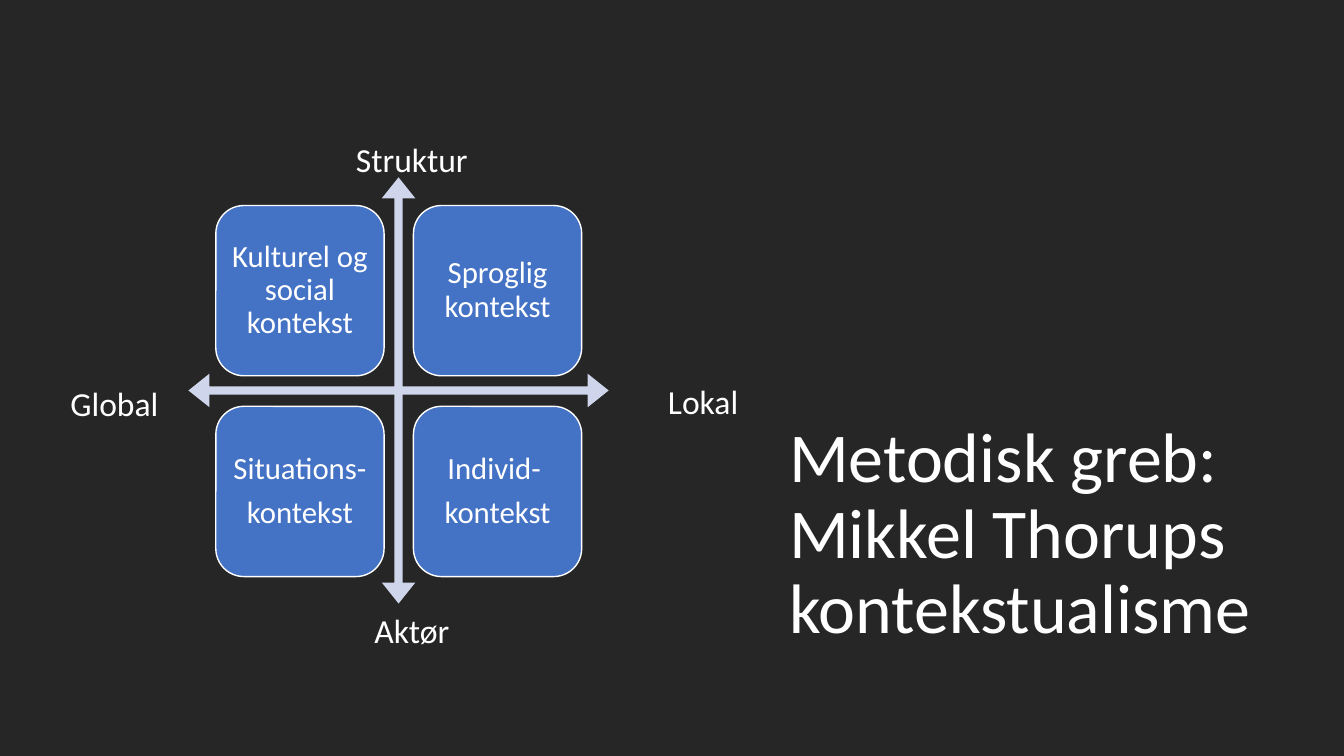
import pptx
import pptx.util
import pptx.dml.color
import pptx.enum.shapes
import pptx.enum.text

Cm = pptx.util.Cm
Pt = pptx.util.Pt
ANCHOR = pptx.enum.text.MSO_ANCHOR
ALIGN = pptx.enum.text.PP_ALIGN
SHAPE = pptx.enum.shapes.MSO_SHAPE
WHITE = "FFFFFF"


def color(hex_string):
    return pptx.dml.color.RGBColor.from_string(hex_string)


def add_run(paragraph, text, size):
    run = paragraph.add_run()
    run.text = text
    run.font.size = Pt(size)
    run.font.name = "Calibri"
    run.font.color.rgb = color(WHITE)


presentation = pptx.Presentation()
presentation.slide_width = Cm(33.87)
presentation.slide_height = Cm(19.05)
slide = presentation.slides.add_slide(presentation.slide_layouts[5])
slide.background.fill.solid()
slide.background.fill.fore_color.rgb = color("262626")

title = slide.shapes.title
title.left, title.top, title.width, title.height = Cm(19.63), Cm(1.75), Cm(13.23), Cm(14.73)
title.text_frame.auto_size = pptx.enum.text.MSO_AUTO_SIZE.NONE
title.text_frame.vertical_anchor = ANCHOR.BOTTOM
paragraph = title.text_frame.paragraphs[0]
paragraph.alignment = ALIGN.LEFT
paragraph.line_spacing = 0.9
add_run(paragraph, "Metodisk greb:", 50)
paragraph.add_line_break()
add_run(paragraph, "Mikkel Thorups kontekstualisme", 50)

axes = slide.shapes.add_shape(SHAPE.QUAD_ARROW, Cm(4.75), Cm(4.47), Cm(10.59), Cm(10.74))
axes.shadow.inherit = False
axes.fill.solid()
axes.fill.fore_color.rgb = color("CFD5EA")
axes.line.fill.background()
for index, adjustment in enumerate([0.02, 0.04, 0.05]):
    axes.adjustments[index] = adjustment

contexts = [
    ["Kulturel og social kontekst"],
    ["Sproglig kontekst"],
    ["Situations-", "kontekst"],
    ["Individ- ", "kontekst"],
]
for index, lines in enumerate(contexts):
    row, column = divmod(index, 2)
    box = slide.shapes.add_shape(
        SHAPE.ROUNDED_RECTANGLE,
        Cm(5.44 + 4.98 * column), Cm(5.18 + 5.06 * row), Cm(4.24), Cm(4.29))
    box.shadow.inherit = False
    box.fill.solid()
    box.fill.fore_color.rgb = color("4472C4")
    box.line.color.rgb = color(WHITE)
    box.line.width = Pt(1)
    frame = box.text_frame
    frame.word_wrap = True
    frame.vertical_anchor = ANCHOR.MIDDLE
    frame.margin_left = frame.margin_right = Cm(0.2)
    frame.margin_top = frame.margin_bottom = Cm(0.2)
    for number, line in enumerate(lines):
        paragraph = frame.add_paragraph() if number else frame.paragraphs[0]
        paragraph.alignment = ALIGN.CENTER
        paragraph.line_spacing = 0.9
        paragraph.space_before = Pt(8 if number else 0)
        add_run(paragraph, line, 22)

axis_labels = [
    ("Global", 1.35, 9.52, 3.07),
    ("Lokal", 15.8, 9.47, 3.84),
    ("Struktur", 8.46, 3.38, 3.84),
    ("Aktør", 8.08, 15.24, 4.6),
]
for text, left, top, width in axis_labels:
    label = slide.shapes.add_textbox(Cm(left), Cm(top), Cm(width), Cm(1.27))
    label.text_frame.word_wrap = True
    paragraph = label.text_frame.paragraphs[0]
    paragraph.alignment = ALIGN.CENTER
    add_run(paragraph, text, 24)

presentation.save("out.pptx")
